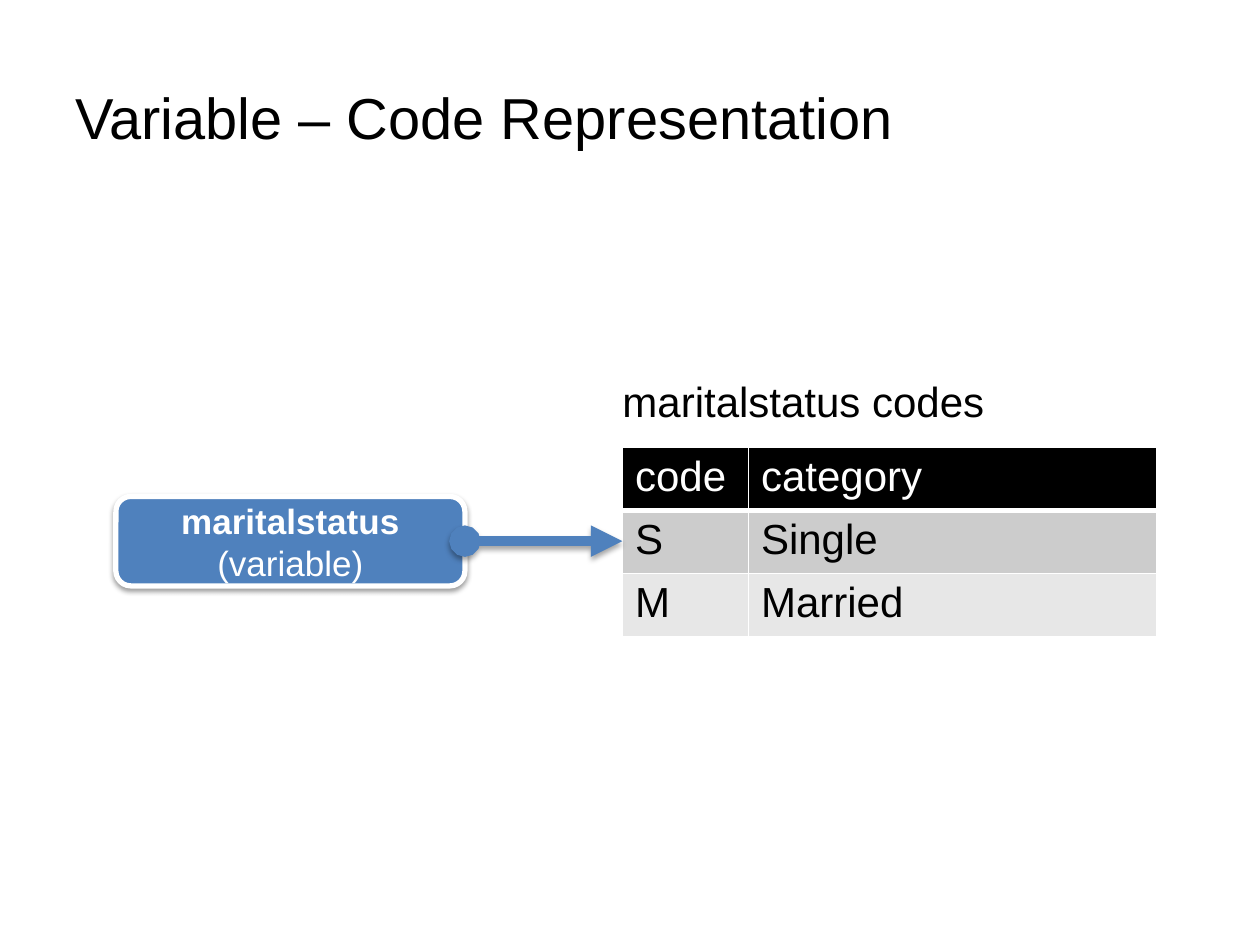
import dataclasses

import lxml.etree
import pptx
import pptx.dml.color
import pptx.enum.shapes
import pptx.enum.text
import pptx.oxml.ns
import pptx.util

Inches = pptx.util.Inches
Pt = pptx.util.Pt
qn = pptx.oxml.ns.qn


@dataclasses.dataclass(frozen=True)
class Theme:
    font: str = "Arial"
    black: str = "000000"
    white: str = "FFFFFF"
    blue: str = "4F81BD"
    dark: str = "CCCCCC"
    light: str = "E7E7E7"
    title: int = 33
    cell: int = 24
    label: int = 20


@dataclasses.dataclass(frozen=True)
class Row:
    texts: tuple[str, ...]
    ink: str
    fill: str | None = None
    base: float = 1  # bottom border in points


@dataclasses.dataclass(frozen=True)
class Grid:
    left: float
    top: float
    cols: tuple[float, ...]
    high: float
    rows: tuple[Row, ...]
    inset: float = 0.1


THEME = Theme()
CODES = Grid(4.94, 3.55, (1, 3.24), 0.47, (
    Row(("code", "category"), THEME.white, THEME.black, 3),
    Row(("S", "Single"), THEME.black, THEME.dark),
    Row(("M", "Married"), THEME.black, THEME.light),
))
HEADING = Grid(4.94, 2.96, (3.84,), 0.5, (
    Row(("maritalstatus codes",), THEME.black, base=3),
), inset=0)


def rgb(code: str) -> pptx.dml.color.RGBColor:
    return pptx.dml.color.RGBColor.from_string(code)


def style(font, size: int, ink: str) -> None:
    font.name = THEME.font
    font.size = Pt(size)
    font.color.rgb = rgb(ink)


def node(up, tag: str, **attrs):
    return lxml.etree.SubElement(up, qn(tag), {k: str(v) for k, v in attrs.items()})


def shade(shape, alpha: int, dist: float) -> None:
    """Cast a soft shadow straight down."""
    shape.shadow.inherit = False
    effects = shape._element.spPr.find(qn("a:effectLst"))
    outer = node(effects, "a:outerShdw", blurRad=Pt(3.1), dist=Pt(dist),
                 dir=90 * 60000, rotWithShape=0)
    color = node(outer, "a:srgbClr", val=THEME.black)
    node(color, "a:alpha", val=alpha * 1000)


def border(cell, base: float) -> None:
    props = cell._tc.get_or_add_tcPr()
    for i, side in enumerate("LRTB"):
        line = node(props, f"a:ln{side}", w=Pt(base if side == "B" else 1))
        node(node(line, "a:solidFill"), "a:srgbClr", val=THEME.white)
        props.insert(i, line)  # borders come before the fill


def draw_grid(slide, grid: Grid) -> None:
    count = len(grid.rows)
    table = slide.shapes.add_table(
        count, len(grid.cols), Inches(grid.left), Inches(grid.top),
        Inches(sum(grid.cols)), Inches(grid.high * count)).table
    table.first_row = table.horz_banding = False
    for col, wide in zip(table.columns, grid.cols):
        col.width = Inches(wide)
    for line, row in zip(table.rows, grid.rows):
        line.height = Inches(grid.high)
        for cell, text in zip(line.cells, row.texts):
            cell.text = text
            cell.margin_left = Inches(grid.inset)
            style(cell.text_frame.paragraphs[0].font, THEME.cell, row.ink)
            if row.fill:
                cell.fill.solid()
                cell.fill.fore_color.rgb = rgb(row.fill)
            else:
                cell.fill.background()
            border(cell, row.base)


def draw_title(slide, text: str) -> None:
    frame = slide.shapes.add_textbox(
        Inches(0.5), Inches(0.3), Inches(9), Inches(1.25)).text_frame
    frame.word_wrap = True
    frame.vertical_anchor = pptx.enum.text.MSO_ANCHOR.MIDDLE
    frame.text = text
    style(frame.paragraphs[0].font, THEME.title, THEME.black)


def draw_box(slide, name: str, kind: str):
    box = slide.shapes.add_shape(
        pptx.enum.shapes.MSO_SHAPE.ROUNDED_RECTANGLE,
        Inches(0.92), Inches(3.94), Inches(2.77), Inches(0.71))
    box.fill.solid()
    box.fill.fore_color.rgb = rgb(THEME.blue)
    box.line.color.rgb = rgb(THEME.white)
    box.line.width = Pt(3)
    shade(box, 38, 1.6)
    frame = box.text_frame
    frame.vertical_anchor = pptx.enum.text.MSO_ANCHOR.MIDDLE
    para = frame.paragraphs[0]
    para.alignment = pptx.enum.text.PP_ALIGN.CENTER
    style(para.font, THEME.label, THEME.white)
    head = para.add_run()
    head.text = name
    head.font.bold = True
    para.add_line_break()
    para.add_run().text = kind
    return box


def draw_arrow(slide, box, end: float) -> None:
    mid = box.top + box.height // 2
    arrow = slide.shapes.add_connector(
        pptx.enum.shapes.MSO_CONNECTOR.STRAIGHT,
        box.left + box.width, mid, Inches(end), mid)
    arrow.line.color.rgb = rgb(THEME.blue)
    arrow.line.width = Pt(6)
    line = arrow.line._get_or_add_ln()
    node(line, "a:headEnd", type="oval")
    node(line, "a:tailEnd", type="triangle")
    node(arrow._element.spPr, "a:effectLst")
    effects = arrow._element.spPr.find(qn("a:effectLst"))
    outer = node(effects, "a:outerShdw", blurRad=Pt(3.1), dist=Pt(1.8),
                 dir=90 * 60000, rotWithShape=0)
    node(node(outer, "a:srgbClr", val=THEME.black), "a:alpha", val=35000)


def main() -> None:
    deck = pptx.Presentation()
    deck.slide_width, deck.slide_height = Inches(10), Inches(7.5)
    slide = deck.slides.add_slide(deck.slide_layouts[6])

    # Title
    draw_title(slide, "Variable – Code Representation")

    # Code list and its heading
    for grid in (CODES, HEADING):
        draw_grid(slide, grid)

    # Variable pointing at its codes
    box = draw_box(slide, "maritalstatus", "(variable)")
    draw_arrow(slide, box, CODES.left)

    deck.save("out.pptx")


if __name__ == "__main__":
    main()
